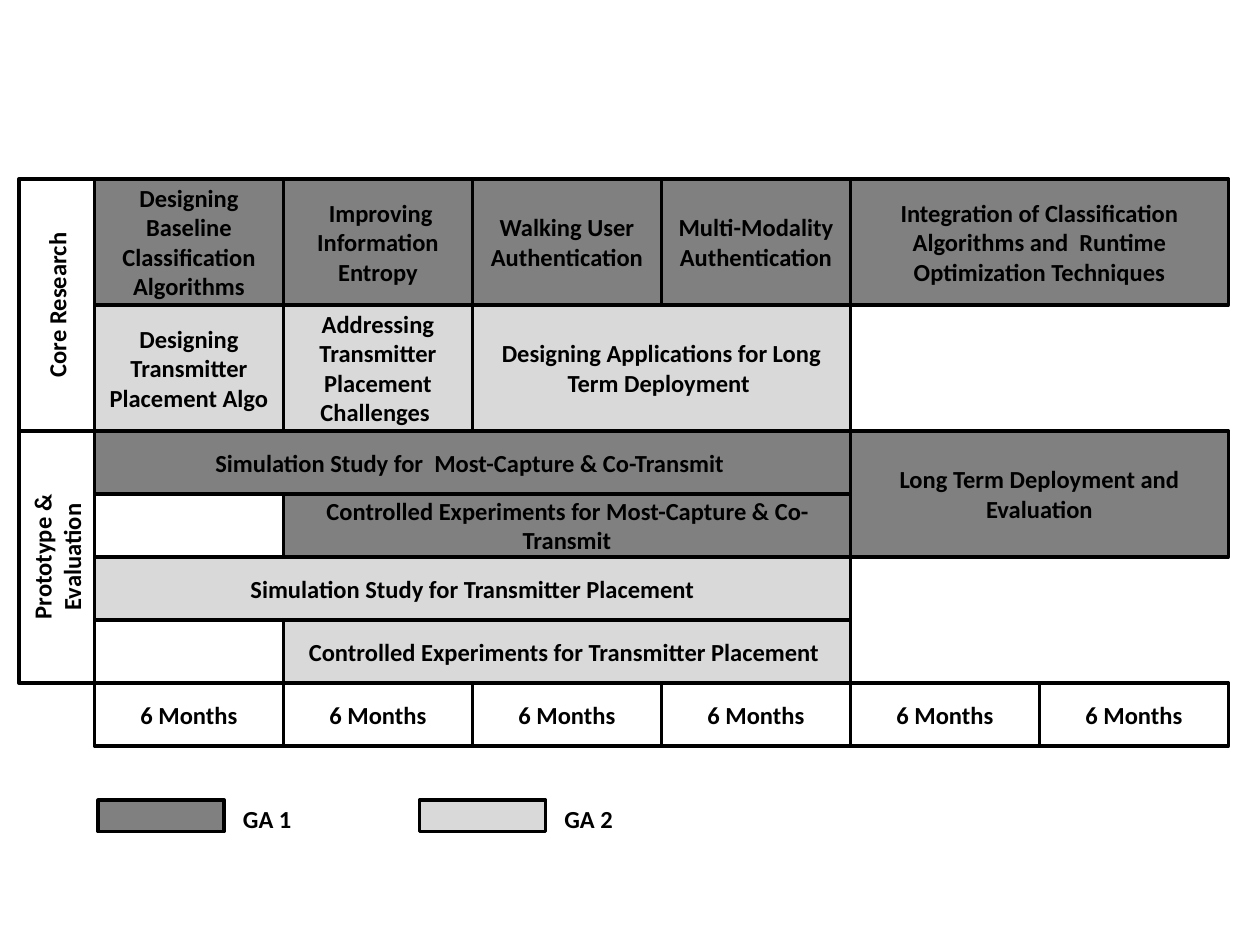
import pptx
import pptx.util
import pptx.dml.color
import pptx.enum.shapes
import pptx.enum.text
from dataclasses import dataclass
from typing import NamedTuple


@dataclass(frozen=True)
class Theme:
    """Colours, type and line weight of the slide."""
    ink: str = "000000"
    ga1: str = "808080"
    ga2: str = "D9D9D9"
    font: str = "Calibri"
    size: int = 14
    line: int = 2


class Box(NamedTuple):
    """A rectangle in inches."""
    left: float
    top: float
    width: float
    height: float


THEME = Theme()
SLIDE = (10, 7.5)
MONTHS, ROWS = 6, 9
LABEL_WIDTH = 0.6

# Label, first row, row count
PHASES = [("Core Research", 0, 4), ("Prototype & Evaluation", 4, 4)]

# Text, column, row, column count, row count, fill
TASKS = [
    ("Designing Baseline Classification Algorithms", 0, 0, 1, 2, THEME.ga1),
    (" Improving Information Entropy", 1, 0, 1, 2, THEME.ga1),
    ("Walking User Authentication", 2, 0, 1, 2, THEME.ga1),
    ("Multi-Modality Authentication", 3, 0, 1, 2, THEME.ga1),
    ("Integration of Classification Algorithms and  Runtime Optimization Techniques",
     4, 0, 2, 2, THEME.ga1),
    ("Designing Transmitter Placement Algo", 0, 2, 1, 2, THEME.ga2),
    ("Addressing Transmitter Placement Challenges ", 1, 2, 1, 2, THEME.ga2),
    ("Designing Applications for Long Term Deployment ", 2, 2, 2, 2, THEME.ga2),
    ("Simulation Study for  Most-Capture & Co-Transmit ", 0, 4, 4, 1, THEME.ga1),
    ("Controlled Experiments for Most-Capture & Co-Transmit", 1, 5, 3, 1, THEME.ga1),
    ("Simulation Study for Transmitter Placement", 0, 6, 4, 1, THEME.ga2),
    ("Controlled Experiments for Transmitter Placement ", 1, 7, 3, 1, THEME.ga2),
    ("Long Term Deployment and Evaluation", 4, 4, 2, 2, THEME.ga1),
]


def colour(value):
    """Turn a hex string into a colour."""
    return pptx.dml.color.RGBColor.from_string(value)


def inches(box):
    """Turn a box into lengths for python-pptx."""
    return [pptx.util.Inches(length) for length in box]


def write(frame, text, align="CENTER", anchor="MIDDLE", wrap=True):
    """Put one bold paragraph into a text frame."""
    frame.word_wrap = wrap
    frame.vertical_anchor = pptx.enum.text.MSO_ANCHOR[anchor]
    para = frame.paragraphs[0]
    para.alignment = pptx.enum.text.PP_ALIGN[align]
    span = para.add_run()
    span.text = text
    span.font.name = THEME.font
    span.font.size = pptx.util.Pt(THEME.size)
    span.font.bold = True
    span.font.color.rgb = colour(THEME.ink)


def add_block(page, box, text="", fill=None):
    """Draw an outlined rectangle, filled and labelled on request."""
    block = page.shapes.add_shape(
        pptx.enum.shapes.MSO_SHAPE.RECTANGLE, *inches(box))
    block.shadow.inherit = False
    block.line.color.rgb = colour(THEME.ink)
    block.line.width = pptx.util.Pt(THEME.line)
    if fill:
        block.fill.solid()
        block.fill.fore_color.rgb = colour(fill)
    else:
        block.fill.background()
    if text:
        write(block.text_frame, text)
    return block


def add_phases(page, box):
    """Draw the upright phase labels down a narrow box."""
    row = box.height / ROWS
    for text, first, count in PHASES:
        length = count * row
        left = box.left + (box.width - length) / 2
        top = box.top + first * row + (length - box.width) / 2
        add_block(page, Box(left, top, length, box.width), text).rotation = 270


def add_schedule(page, box):
    """Draw the tasks and the month scale on a grid filling the box."""
    column, row = box.width / MONTHS, box.height / ROWS
    months = [("6 Months", index, ROWS - 1, 1, 1, None) for index in range(MONTHS)]
    for text, across, down, columns, rows, fill in TASKS + months:
        cell = Box(box.left + across * column, box.top + down * row,
                   columns * column, rows * row)
        add_block(page, cell, text, fill)


def add_legend(page, box):
    """Draw the colour key in equal steps across the box."""
    entries = [("GA 1", THEME.ga1), ("GA 2", THEME.ga2)]
    step = box.width / len(entries)
    for index, (text, fill) in enumerate(entries):
        left = box.left + index * step
        add_block(page, Box(left, box.top, 1, box.height), fill=fill)
        label = page.shapes.add_textbox(
            *inches(Box(left + 1.05, box.top - 0.02, 0.59, 0.34)))
        write(label.text_frame, text, align="LEFT", anchor="TOP", wrap=False)


def build():
    """Build the schedule slide and save it."""
    deck = pptx.Presentation()
    deck.slide_width, deck.slide_height = inches(SLIDE)
    page = deck.slides.add_slide(deck.slide_layouts[6])
    grid = Box(0.75, 1.42, 0.9 * SLIDE[0], 0.6 * SLIDE[1])
    add_phases(page, Box(grid.left - LABEL_WIDTH, grid.top, LABEL_WIDTH, grid.height))
    add_schedule(page, grid)
    add_legend(page, Box(0.78, 6.35, 5.1, 0.25))
    deck.save("out.pptx")


build()
